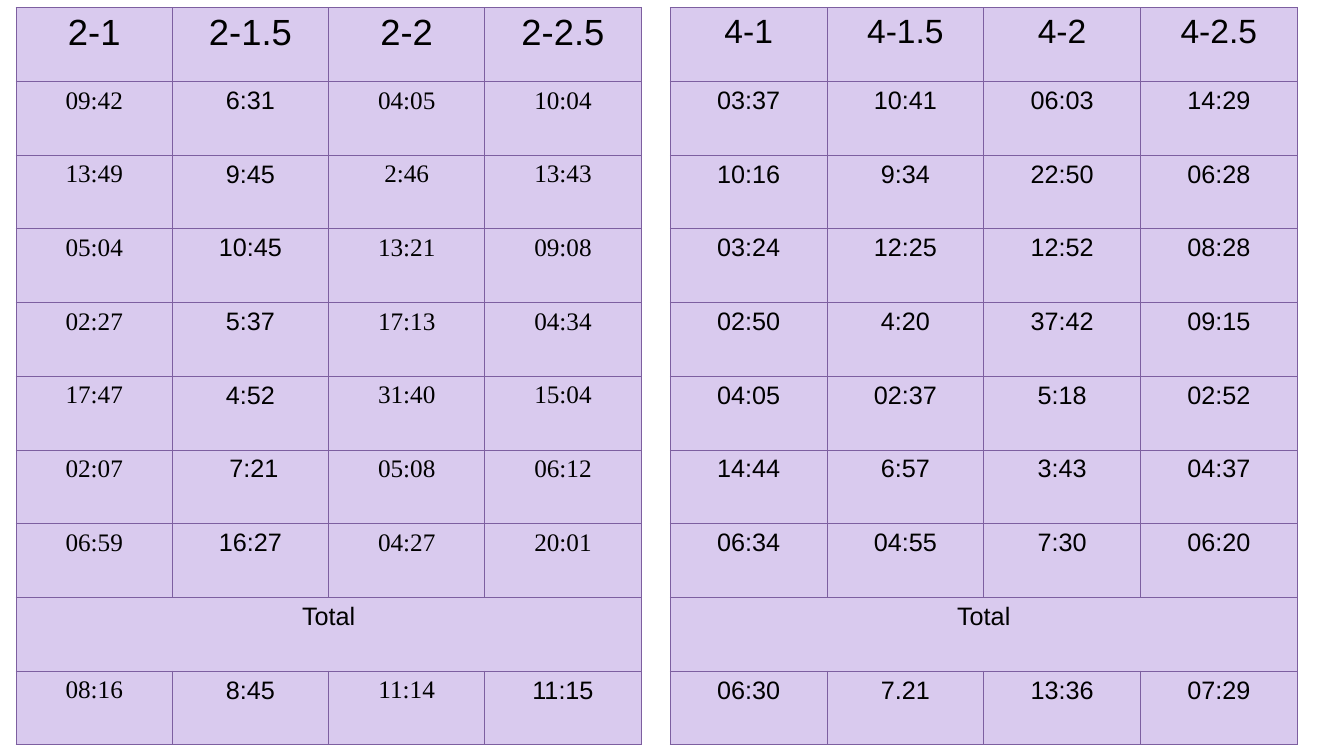
from lxml.etree import SubElement
from pptx import Presentation
from pptx.dml.color import RGBColor
from pptx.enum.text import PP_ALIGN as Align
from pptx.oxml.ns import qn
from pptx.util import Pt

TWO_TIMES = [
    ["2-1", "2-1.5", "2-2", "2-2.5"],
    ["09:42", "6:31", "04:05", "10:04"],
    ["13:49", "9:45", "2:46", "13:43"],
    ["05:04", "10:45", "13:21", "09:08"],
    ["02:27", "5:37", "17:13", "04:34"],
    ["17:47", "4:52", "31:40", "15:04"],
    ["02:07", " 7:21", "05:08", "06:12"],
    ["06:59", "16:27", "04:27", "20:01"],
    ["Total"],
    ["08:16", "8:45", "11:14", "11:15"],
]
FOUR_TIMES = [
    ["4-1", "4-1.5", "4-2", "4-2.5"],
    ["03:37", "10:41", "06:03", "14:29"],
    ["10:16", "9:34", "22:50", "06:28"],
    ["03:24", "12:25", "12:52", "08:28"],
    ["02:50", "4:20", "37:42", "09:15"],
    ["04:05", "02:37", "5:18", "02:52"],
    ["14:44", "6:57", "3:43", "04:37"],
    ["06:34", "04:55", "7:30", "06:20"],
    ["Total"],
    ["06:30", "7.21", "13:36", "07:29"],
]


def color(hex_text):
    return RGBColor.from_string(hex_text)


def two_times_font(row, col):
    """Times are serif, except the second column and the last total."""
    is_time = row not in (0, 8)
    sans = col == 1 or (row, col) == (9, 3)
    return "Times New Roman" if is_time and not sans else "Arial"


def four_times_font(row, col):
    return "Arial"


class TimeSlide:
    FILL, BORDER, TEXT = "D9CAEE", "7D5FA0", "000000"
    BORDER_WIDTH, BODY_SIZE = 0.75, 18
    TOP, ROW_HEIGHT = 5.6, 52.64

    def __init__(self, slide):
        self.slide = slide

    def table(self, left, col_width, rows, header_size, font_for):
        cols = len(rows[0])
        frame = self.slide.shapes.add_table(
            len(rows), cols, Pt(left), Pt(self.TOP),
            Pt(col_width * cols), Pt(self.ROW_HEIGHT * len(rows)))
        table = frame.table
        table.first_row = table.horz_banding = False
        for column in table.columns:
            column.width = Pt(col_width)
        for i, texts in enumerate(rows):
            table.rows[i].height = Pt(self.ROW_HEIGHT)
            for j in range(cols):
                self.paint(table.cell(i, j))
            if len(texts) == 1:
                table.cell(i, 0).merge(table.cell(i, cols - 1))
            size = self.BODY_SIZE if i else header_size
            for j, text in enumerate(texts):
                self.label(table.cell(i, j), text, size, font_for(i, j))

    def paint(self, cell):
        """Give the cell its fill and a border on every side."""
        props = cell._tc.get_or_add_tcPr()
        for side in ("a:lnL", "a:lnR", "a:lnT", "a:lnB"):
            line = SubElement(props, qn(side), w=str(Pt(self.BORDER_WIDTH)))
            fill = SubElement(line, qn("a:solidFill"))
            SubElement(fill, qn("a:srgbClr"), val=self.BORDER)
        cell.fill.solid()
        cell.fill.fore_color.rgb = color(self.FILL)

    def label(self, cell, text, size, font_name):
        p = cell.text_frame.paragraphs[0]
        p.text = text
        p.alignment = Align.CENTER
        font = p.runs[0].font
        font.name, font.size = font_name, Pt(size)
        font.color.rgb = color(self.TEXT)


def main():
    prs = Presentation()
    prs.slide_width, prs.slide_height = Pt(960), Pt(540)
    times = TimeSlide(prs.slides.add_slide(prs.slide_layouts[6]))
    times.table(11.52, 111.6, TWO_TIMES, 26, two_times_font)
    times.table(478.8, 111.96, FOUR_TIMES, 24, four_times_font)
    prs.save("out.pptx")


if __name__ == "__main__":
    main()
